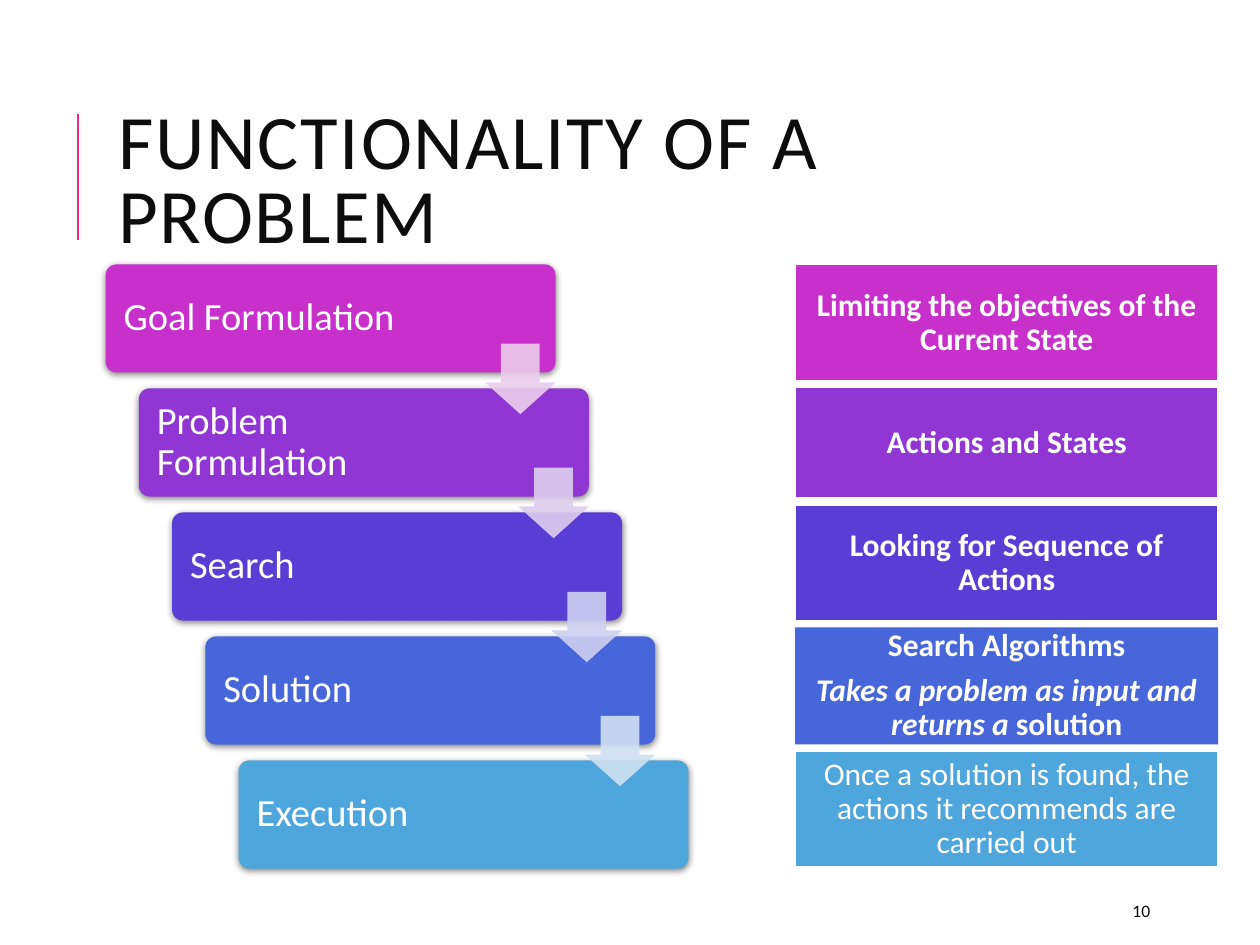
"""Builds the slide on the five stages of problem solving."""
from lxml import etree
from pptx import Presentation
from pptx import util as u
from pptx.dml.color import RGBColor
from pptx.enum import shapes, text
from pptx.oxml.ns import qn

FONT = "Calibri"
WHITE = RGBColor(0xFF, 0xFF, 0xFF)
INK = RGBColor(0x0D, 0x0D, 0x0D)
ACCENT = RGBColor(0xE3, 0x2D, 0x91)
STAGE_COLORS = [
    RGBColor(0xC8, 0x30, 0xCC),
    RGBColor(0x90, 0x36, 0xD2),
    RGBColor(0x59, 0x3E, 0xD5),
    RGBColor(0x46, 0x66, 0xD9),
    RGBColor(0x4E, 0xA6, 0xDC),
]
ARROW_COLORS = [
    RGBColor(0xEB, 0xCD, 0xEC),
    RGBColor(0xDD, 0xCE, 0xEE),
    RGBColor(0xCF, 0xD0, 0xF0),
    RGBColor(0xD0, 0xE1, 0xF2),
]
STAGES = ["Goal Formulation", "Problem Formulation", "Search", "Solution", "Execution"]
BOLD, BOLD_ITALIC, PLAIN = (True, False), (True, True), (False, False)
DETAILS = [
    (2.36, [[("Limiting the objectives of the Current State", BOLD)]]),
    (2.24, [[("Actions and States", BOLD)]]),
    (2.36, [[("Looking for Sequence of Actions", BOLD)]]),
    (2.36, [
        [("Search Algorithms", BOLD)],
        [("Takes a problem as input and returns a ", BOLD_ITALIC), ("solution", BOLD)],
    ]),
    (2.36, [[("Once a solution is found, the actions it recommends are carried out", PLAIN)]]),
]


def style(paragraph, size, color, spacing=None, align=text.PP_ALIGN.LEFT):
    """Set the font, line spacing and alignment of a paragraph."""
    paragraph.alignment = align
    paragraph.line_spacing = spacing
    paragraph.font.name = FONT
    paragraph.font.size = u.Pt(size)
    paragraph.font.color.rgb = color


def set_margins(frame, left, top, right, bottom):
    """Wrap and centre the text vertically inside margins given in cm."""
    frame.word_wrap = True
    frame.vertical_anchor = text.MSO_ANCHOR.MIDDLE
    frame.margin_left, frame.margin_top = u.Cm(left), u.Cm(top)
    frame.margin_right, frame.margin_bottom = u.Cm(right), u.Cm(bottom)


def add_block(slide, preset, left, top, width, height, color):
    """Add a filled shape without outline or shadow, measured in cm."""
    block = slide.shapes.add_shape(
        preset, u.Cm(left), u.Cm(top), u.Cm(width), u.Cm(height))
    block.shadow.inherit = False
    block.fill.solid()
    block.fill.fore_color.rgb = color
    block.line.fill.background()
    return block


def add_alpha(color_element, percent):
    """Make a colour element partly transparent."""
    etree.SubElement(color_element, qn("a:alpha"), val=str(percent * 1000))


def add_soft_shadow(block):
    """Give a block a soft shadow just below it."""
    effects = block._element.spPr.find(qn("a:effectLst"))
    shadow = etree.SubElement(
        effects, qn("a:outerShdw"), blurRad=str(u.Pt(4)), dist=str(u.Pt(1)),
        dir="5400000", rotWithShape="0")
    add_alpha(etree.SubElement(shadow, qn("a:srgbClr"), val="000000"), 50)


def add_heading(slide, left, top, width, height):
    """Place the title and the accent rule to its left."""
    rule_x = u.Cm(left - 0.56)
    rule = slide.shapes.add_connector(
        shapes.MSO_CONNECTOR.STRAIGHT,
        rule_x, u.Cm(top + 3.2), rule_x, u.Cm(top + 0.66))
    rule.line.color.rgb = ACCENT
    rule.line.width = u.Pt(1.5)
    etree.SubElement(rule._element.spPr, qn("a:effectLst"))

    title = slide.shapes.title
    title.left, title.top = u.Cm(left), u.Cm(top)
    title.width, title.height = u.Cm(width), u.Cm(height)
    frame = title.text_frame
    frame.text = "FUNCTIONALITY OF A PROBLEM"
    frame.auto_size = text.MSO_AUTO_SIZE.NONE
    set_margins(frame, 0.25, 0.13, 0.25, 0.13)
    heading = frame.paragraphs[0]
    style(heading, 44, INK, 0.8)
    heading.runs[0].font._element.set("spc", "100")


def add_staircase(slide, left, top, width, height):
    """Place the descending stages and the arrows that link them."""
    step_x, step_y, arrow_size = 0.67, 2.5, 1.42
    stage_width = width - step_x * (len(STAGES) - 1)
    stage_height = height - step_y * (len(STAGES) - 1)
    for i, (name, color) in enumerate(zip(STAGES, STAGE_COLORS)):
        stage = add_block(
            slide, shapes.MSO_SHAPE.ROUNDED_RECTANGLE,
            left + i * step_x, top + i * step_y, stage_width, stage_height, color)
        stage.adjustments[0] = 0.1
        add_soft_shadow(stage)
        stage.text_frame.text = name
        set_margins(stage.text_frame, 0.3, 0.3, 2.4, 0.3)
        style(stage.text_frame.paragraphs[0], 22, WHITE, 0.9)

    for i, color in enumerate(ARROW_COLORS):
        arrow = add_block(
            slide, shapes.MSO_SHAPE.DOWN_ARROW,
            left + i * step_x + stage_width - arrow_size, top + i * step_y + 1.6,
            arrow_size, arrow_size, color)
        arrow.adjustments[0], arrow.adjustments[1] = 0.55, 0.45
        add_alpha(arrow._element.spPr.find(qn("a:solidFill"))[0], 90)


def add_details(slide, left, top, width, gap):
    """Stack the explanations of the stages in a column."""
    for (height, paragraphs), color in zip(DETAILS, STAGE_COLORS):
        detail = add_block(
            slide, shapes.MSO_SHAPE.RECTANGLE, left, top, width, height, color)
        if len(paragraphs) == 1:
            detail.line.color.rgb = WHITE
            detail.line.width = u.Pt(1.25)
        frame = detail.text_frame
        set_margins(frame, 0.13, 0.13, 0.13, 0.13)
        for i, parts in enumerate(paragraphs):
            paragraph = frame.add_paragraph() if i else frame.paragraphs[0]
            style(paragraph, 18, WHITE, 0.9, text.PP_ALIGN.CENTER)
            paragraph.space_after = u.Pt(6.3)
            for wording, (bold, italic) in parts:
                run = paragraph.add_run()
                run.text = wording
                run.font.bold, run.font.italic = bold, italic
        top += height + gap


def add_page_number(slide, left, top, width, height):
    """Place the page number."""
    number = slide.shapes.add_textbox(u.Cm(left), u.Cm(top), u.Cm(width), u.Cm(height))
    number.text_frame.text = "10"
    set_margins(number.text_frame, 0.25, 0.13, 0.25, 0.13)
    style(number.text_frame.paragraphs[0], 10, INK)


def main():
    """Build and save the slide."""
    deck = Presentation()
    deck.slide_width, deck.slide_height = u.Cm(25.4), u.Cm(19.05)
    slide = deck.slides.add_slide(deck.slide_layouts[5])
    add_heading(slide, 2.13, 1.63, 20.24, 4.17)
    add_staircase(slide, 2.13, 5.33, 11.75, 12.18)
    add_page_number(slide, 22.58, 17.98, 2.03, 0.76)
    add_details(slide, 16.03, 5.33, 8.53, 0.12)
    deck.save("out.pptx")


if __name__ == "__main__":
    main()
